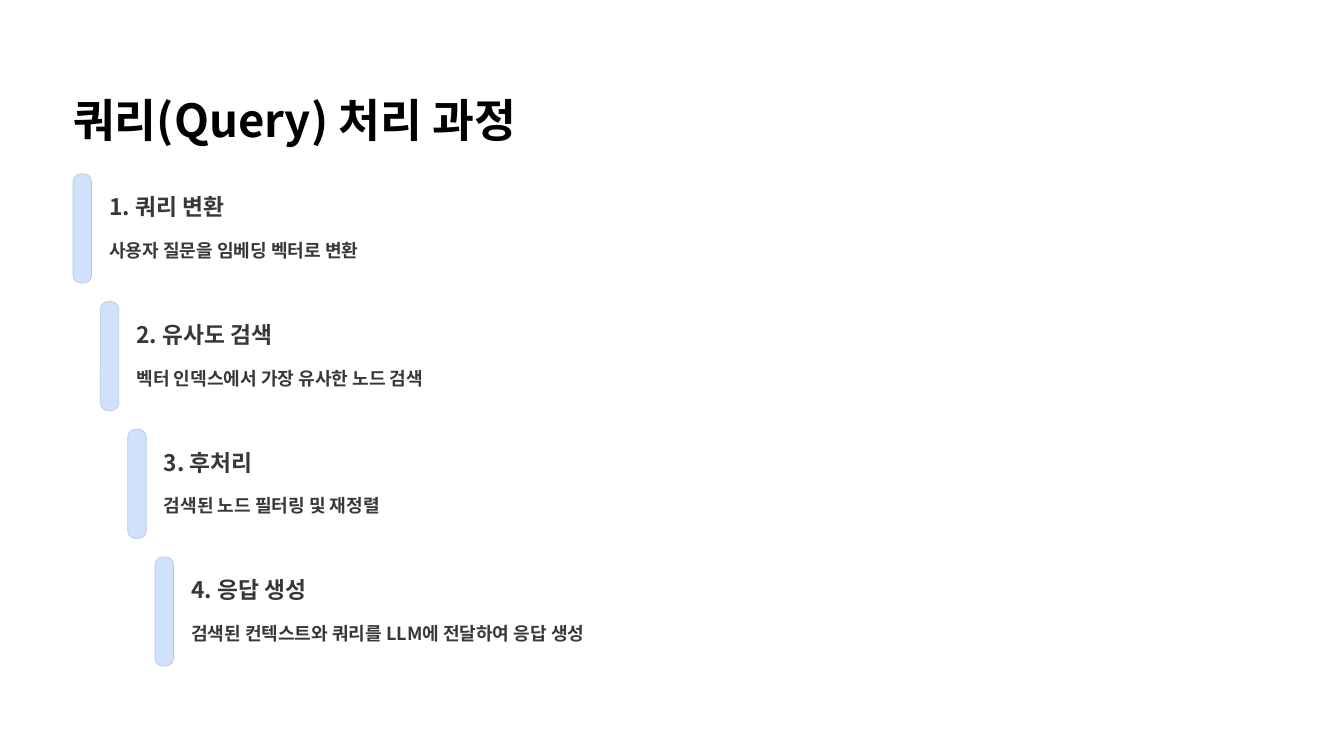
from pptx import Presentation
from pptx.dml.color import RGBColor
from pptx.enum.shapes import MSO_SHAPE
from pptx.enum.text import MSO_ANCHOR, MSO_AUTO_SIZE, PP_ALIGN
from pptx.oxml.ns import qn
from pptx.util import Inches, Pt
from lxml import etree

BLACK = RGBColor(0x00, 0x00, 0x00)
GRAY = RGBColor(0x38, 0x38, 0x38)
BAR_FILL = RGBColor(0xD0, 0xE2, 0xFB)
BAR_LINE = RGBColor(0xB6, 0xC8, 0xE1)
FONT = "Noto Sans CJK KR"


def write(sp, text, size, spacing, color):
    """Put one bold line of text in a box without margins."""
    tf = sp.text_frame
    tf.margin_left = tf.margin_right = tf.margin_top = tf.margin_bottom = 0
    tf.word_wrap = False
    tf.auto_size = MSO_AUTO_SIZE.NONE
    tf.vertical_anchor = MSO_ANCHOR.TOP
    p = tf.paragraphs[0]
    p.alignment = PP_ALIGN.LEFT
    p.line_spacing = Pt(spacing)
    r = p.add_run()
    r.text = text
    r.font.name = FONT
    r.font.size = Pt(size)
    r.font.bold = True
    r.font.color.rgb = color
    # East Asian typeface for the Korean letters
    etree.SubElement(r.font._element, qn("a:ea")).set("typeface", FONT)


prs = Presentation()
prs.slide_width, prs.slide_height = Inches(16), Inches(9)
slide = prs.slides.add_slide(prs.slide_layouts[5])

# Title, wide enough to stay on one line
title = slide.shapes.title
title.left, title.top = Inches(0.87), Inches(1.07)
title.width, title.height = Inches(5.8), Inches(0.68)
write(title, "쿼리(Query) 처리 과정", 39, 48.5, BLACK)

# Steps, each one lower and further right
STEPS = [
    ("1. 쿼리 변환", "사용자 질문을 임베딩 벡터로 변환"),
    ("2. 유사도 검색", "벡터 인덱스에서 가장 유사한 노드 검색"),
    ("3. 후처리", "검색된 노드 필터링 및 재정렬"),
    ("4. 응답 생성", "검색된 컨텍스트와 쿼리를 LLM에 전달하여 응답 생성"),
]
for i, (heading, detail) in enumerate(STEPS):
    x, y = 0.87 + 0.325 * i, 2.07 + 1.52 * i
    text_x = x + 0.43

    bar = slide.shapes.add_shape(MSO_SHAPE.ROUNDED_RECTANGLE,
                                 Inches(x), Inches(y), Inches(0.22), Inches(1.3))
    bar.adjustments[0] = 0.42
    bar.shadow.inherit = False
    bar.fill.solid()
    bar.fill.fore_color.rgb = BAR_FILL
    bar.line.color.rgb = BAR_LINE
    bar.line.width = Pt(0.6)

    sp = slide.shapes.add_textbox(Inches(text_x), Inches(y + 0.22),
                                  Inches(2.71), Inches(0.34))
    write(sp, heading, 19.5, 24, GRAY)

    # Detail boxes all end at the same right edge
    sp = slide.shapes.add_textbox(Inches(text_x), Inches(y + 0.69),
                                  Inches(15.13 - text_x), Inches(0.35))
    write(sp, detail, 15.5, 25, GRAY)

prs.save("out.pptx")
